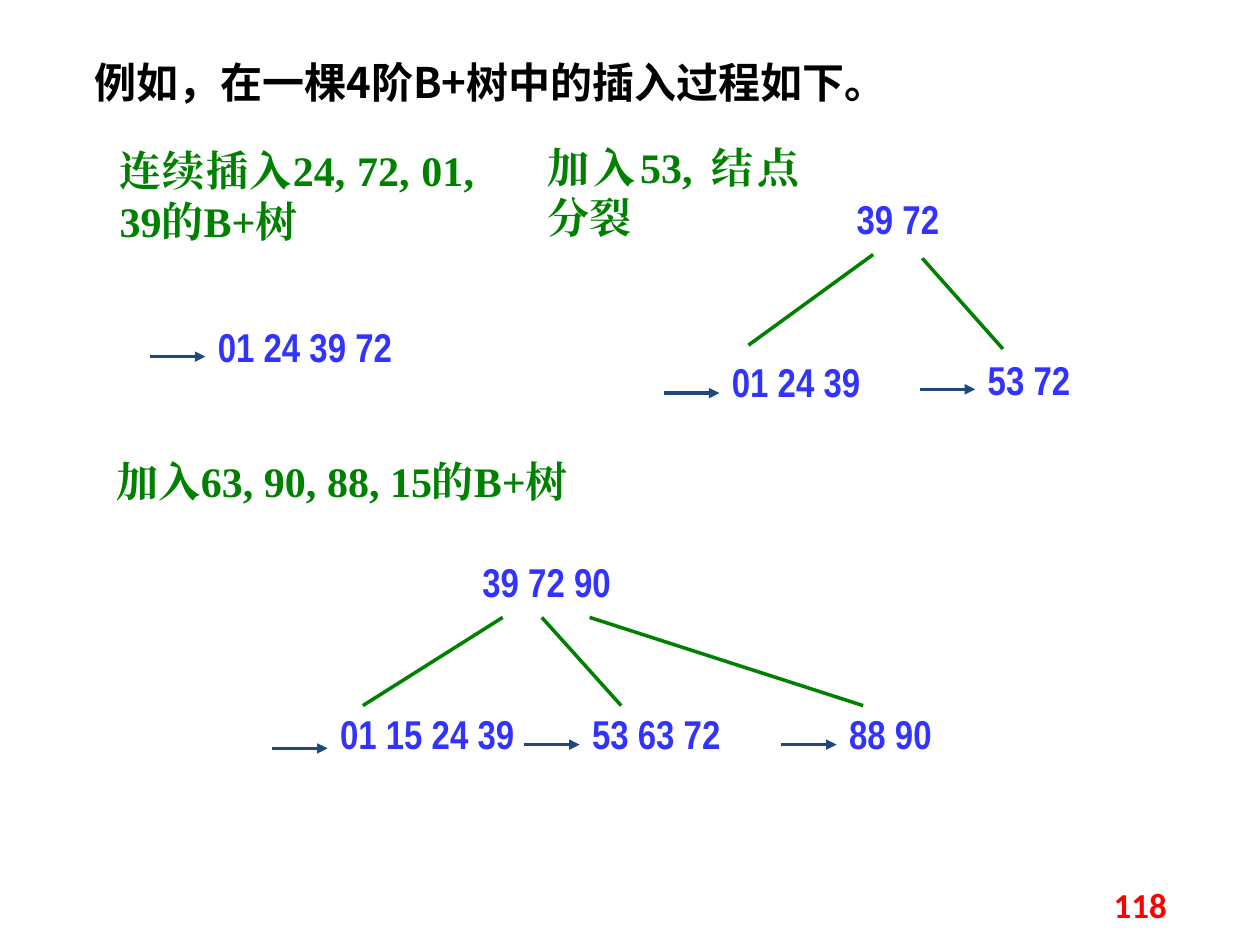
"""Build a slide showing insertions into a B+ tree of order 4."""
import pptx
import pptx.dml.color
import pptx.enum.shapes
import pptx.enum.text
import pptx.oxml
import pptx.oxml.ns
import pptx.util

Inches = pptx.util.Inches
RGBColor = pptx.dml.color.RGBColor
Align = pptx.enum.text.PP_ALIGN
Anchor = pptx.enum.text.MSO_ANCHOR

BLACK = RGBColor(0x00, 0x00, 0x00)
GREEN = RGBColor(0x00, 0x80, 0x00)
BLUE = RGBColor(0x33, 0x33, 0xFF)
NAVY = RGBColor(0x1F, 0x49, 0x7D)
RED = RGBColor(0xFF, 0x00, 0x00)

TITLE = "例如，在一棵4阶B+树中的插入过程如下。"
PAGE_NUMBER = "118"
CAPTIONS = [
    ("连续插入24, 72, 01, 39的B+树", (0.85, 1.1, 3.01, 1.3)),
    ("加入53, 结点分裂", (4.25, 1.07, 2.19, 1.28)),
    ("加入63, 90, 88, 15的B+树", (0.83, 3.57, 4.65, 0.84)),
]
ROOTS = [("39 72", 6.7, 1.49), ("39 72 90", 3.73, 4.37)]
LEAVES = [
    ("01 24 39 72", 1.63, 2.51, 2.83),
    ("01 24 39", 5.71, 2.79, 3.12),
    ("53 72", 7.74, 2.77, 3.09),
    ("01 15 24 39", 2.6, 5.58, 5.94),
    ("53 63 72", 4.6, 5.58, 5.91),
    ("88 90", 6.64, 5.58, 5.91),
]
BRANCHES = [
    (6.93, 2.02, 5.94, 2.74),
    (7.32, 2.05, 7.96, 2.77),
    (3.99, 4.9, 2.88, 5.6),
    (4.3, 4.9, 4.93, 5.6),
    (4.68, 4.9, 6.85, 5.6),
]
NODE_SIZE = (1.71, 0.85)
ARROW_LENGTH = 0.44


def write(box, text, font, size, color, align):
    """Put one bold run of text in a box."""
    frame = box.text_frame
    frame.word_wrap = True
    para = frame.paragraphs[0]
    para.alignment = align
    span = para.add_run()
    span.text = text
    span.font.name = font
    span.font.size = pptx.util.Pt(size)
    span.font.bold = True
    span.font.color.rgb = color
    east_asian = pptx.oxml.parse_xml(
        f'<a:ea {pptx.oxml.ns.nsdecls("a")} typeface="{font}"/>')
    span.font._element.find(pptx.oxml.ns.qn("a:latin")).addnext(east_asian)
    return para


def add_text(page, place, *style):
    """Add a text box at a place given in inches."""
    box = page.shapes.add_textbox(*map(Inches, place))
    write(box, *style)
    return box


def add_line(page, ends, color, arrow=False):
    """Add a straight line, with an arrowhead at its end if asked."""
    line = page.shapes.add_connector(
        pptx.enum.shapes.MSO_CONNECTOR.STRAIGHT, *map(Inches, ends))
    line.line.color.rgb = color
    line.line.width = pptx.util.Pt(2)
    names = pptx.oxml.ns.nsdecls("a")
    if arrow:
        line.line._get_or_add_ln().append(
            pptx.oxml.parse_xml(f'<a:tailEnd {names} type="triangle"/>'))
    line._element.spPr.append(pptx.oxml.parse_xml(f"<a:effectLst {names}/>"))


def add_node(page, text, left, top):
    """Add the keys of one tree node."""
    add_text(page, (left, top, *NODE_SIZE),
             text, "Arial Narrow", 23, BLUE, Align.JUSTIFY)


def main():
    """Build and save the deck."""
    deck = pptx.Presentation()
    deck.slide_width, deck.slide_height = Inches(10), Inches(7.5)
    page = deck.slides.add_slide(deck.slide_layouts[5])

    title = page.shapes.title
    title.left, title.top = Inches(0.27), Inches(0.36)
    title.width, title.height = Inches(9), Inches(0.92)
    title.text_frame.vertical_anchor = Anchor.TOP
    title.text_frame.margin_left = Inches(0.48)
    title.text_frame.auto_size = pptx.enum.text.MSO_AUTO_SIZE.NONE
    para = write(title, TITLE, "Noto Sans CJK SC", 24, BLACK, Align.LEFT)
    para.line_spacing = 1.1

    for text, place in CAPTIONS:
        add_text(page, place, text, "Times New Roman", 24, GREEN, Align.JUSTIFY)
    for root in ROOTS:
        add_node(page, *root)
    for text, left, top, arrow_y in LEAVES:
        add_node(page, text, left, top)
        add_line(page, (left - ARROW_LENGTH, arrow_y, left, arrow_y), NAVY, True)
    for branch in BRANCHES:
        add_line(page, branch, GREEN)

    number = add_text(page, (8.1, 6.98, 1.9, 0.4),
                      PAGE_NUMBER, "Calibri", 20, RED, Align.CENTER)
    number.text_frame.vertical_anchor = Anchor.MIDDLE
    deck.save("out.pptx")


if __name__ == "__main__":
    main()
